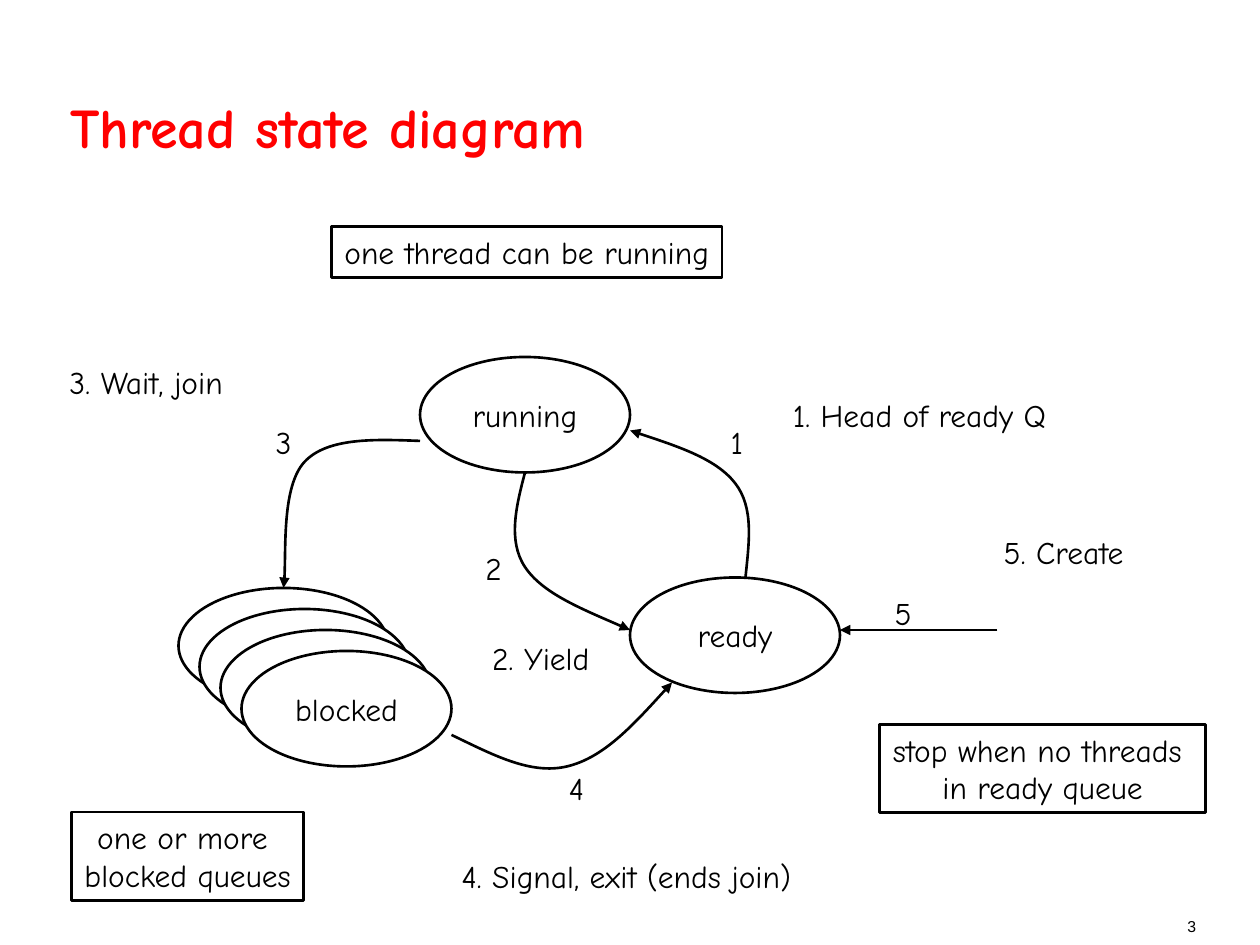
from lxml.etree import SubElement
from pptx import Presentation
from pptx.dml.color import RGBColor
from pptx.enum.shapes import MSO_CONNECTOR, MSO_SHAPE
from pptx.enum.text import MSO_ANCHOR, MSO_AUTO_SIZE, PP_ALIGN
from pptx.oxml.ns import qn
from pptx.util import Pt

BLACK = RGBColor(0, 0, 0)
WHITE = RGBColor(255, 255, 255)
RED = RGBColor(255, 0, 0)
FONT = "Comic Neue"
STATE_W, STATE_H = 120, 66
QUEUE_LEFT, QUEUE_TOP, QUEUE_STEP, QUEUE_COUNT = 102, 336, 12, 4
LABEL_H = 29

TITLE = "Thread state diagram"
STATES = [("running", 240, 204), ("ready", 360, 330)]
NOTES = [
    ("one thread can be running", 189.5, 129.5, 223, 29),
    ("stop when no threads \nin ready queue", 502.5, 414, 186.5, 50.5),
    ("one or more \nblocked queues", 41, 464, 132.5, 50.5),
]
CURVES = [
    [(426, 330), (428, 310), (431, 290), (420, 276), (409, 262), (384, 254), (360, 246)],
    [(258, 420), (281, 431), (303, 443), (324, 438), (345, 433), (364, 412), (384, 390)],
    [(240, 252), (214, 251), (187, 250), (174, 264), (161, 278), (164, 324), (162, 336)],
    [(300, 270), (295, 289), (290, 309), (300, 324), (310, 339), (335, 349), (360, 360)],
]
CREATE_ARROW = (570, 360, 480, 360)
LABELS = [
    ("1", 410, 238, 22), ("2", 270, 310, 24), ("3", 150.5, 238, 23),
    ("4", 318, 436, 23), ("5", 504, 336, 24),
    ("2. Yield", 274, 361.5, 70), ("3. Wait, join", 32, 204, 103),
    ("4. Signal, exit (ends join)", 257, 486, 202), ("5. Create", 566, 301, 83.5),
]
HEAD_LABEL = ("1. Head of ready Q", 446, 223, 231)

prs = Presentation()
prs.slide_width, prs.slide_height = Pt(720), Pt(540)
s = prs.slides.add_slide(prs.slide_layouts[5])


def write(sp, text, size=18, font=FONT, color=BLACK, align=PP_ALIGN.CENTER,
          anchor=MSO_ANCHOR.TOP, wrap=False):
    tf = sp.text_frame
    tf.text = text
    tf.word_wrap = wrap
    tf.auto_size = MSO_AUTO_SIZE.NONE
    tf.vertical_anchor = anchor
    for p in tf.paragraphs:
        p.alignment = align
        p.font.size, p.font.name = Pt(size), font
        p.font.color.rgb = color
    return tf


def outline(sp):
    sp.line.color.rgb = BLACK
    sp.line.width = Pt(1.5)


def add_box(kind, left, top, width, height, fill=None):
    sp = s.shapes.add_shape(kind, Pt(left), Pt(top), Pt(width), Pt(height))
    sp.shadow.inherit = False
    if fill is None:
        sp.fill.background()
    else:
        sp.fill.solid()
        sp.fill.fore_color.rgb = fill
    outline(sp)
    return sp


def add_label(text, left, top, width, height=LABEL_H, **style):
    sp = s.shapes.add_textbox(Pt(left), Pt(top), Pt(width), Pt(height))
    return write(sp, text, **style)


def add_arrowhead(sp):
    outline(sp)
    ln = sp.element.spPr.find(qn("a:ln"))
    SubElement(ln, qn("a:tailEnd"), type="triangle")


def add_curve(points):
    builder = s.shapes.build_freeform(*points[0], scale=Pt(1))
    builder.add_line_segments(points[1:], close=False)
    sp = builder.convert_to_shape()
    sp.shadow.inherit = False
    sp.fill.background()
    add_arrowhead(sp)
    segments = list(sp.element.iter(qn("a:lnTo")))
    path = segments[0].getparent()
    for i in range(0, len(segments), 3):
        curve = SubElement(path, qn("a:cubicBezTo"))
        for segment in segments[i:i + 3]:
            curve.append(segment[0])
            path.remove(segment)


title = s.shapes.title
title.left, title.top, title.width, title.height = Pt(33), Pt(24), Pt(652), Pt(71)
p = write(title, TITLE, 32, color=RED, align=PP_ALIGN.LEFT,
          anchor=MSO_ANCHOR.BOTTOM, wrap=True).paragraphs[0]
p.font.bold = True
p.line_spacing = Pt(36)

for name, left, top in STATES:
    sp = add_box(MSO_SHAPE.OVAL, left, top, STATE_W, STATE_H)
    write(sp, name, anchor=MSO_ANCHOR.MIDDLE)

for i in range(QUEUE_COUNT):
    shift = i * QUEUE_STEP
    front = add_box(MSO_SHAPE.OVAL, QUEUE_LEFT + shift, QUEUE_TOP + shift,
                    STATE_W, STATE_H, WHITE)
write(front, "blocked", anchor=MSO_ANCHOR.MIDDLE)

for text, *place in NOTES:
    write(add_box(MSO_SHAPE.RECTANGLE, *place), text)

for points in CURVES:
    add_curve(points)

arrow = s.shapes.add_connector(MSO_CONNECTOR.STRAIGHT, *map(Pt, CREATE_ARROW))
add_arrowhead(arrow)
SubElement(arrow.element.spPr, qn("a:effectLst"))

for label in LABELS:
    add_label(*label)
add_label(*HEAD_LABEL, align=PP_ALIGN.LEFT, wrap=True)

tf = add_label("3", 631, 523.5, 52.5, 11, size=9, font="Arial",
               align=PP_ALIGN.RIGHT, anchor=MSO_ANCHOR.BOTTOM, wrap=True)
tf.margin_left = tf.margin_right = tf.margin_top = tf.margin_bottom = 0

prs.save("out.pptx")
